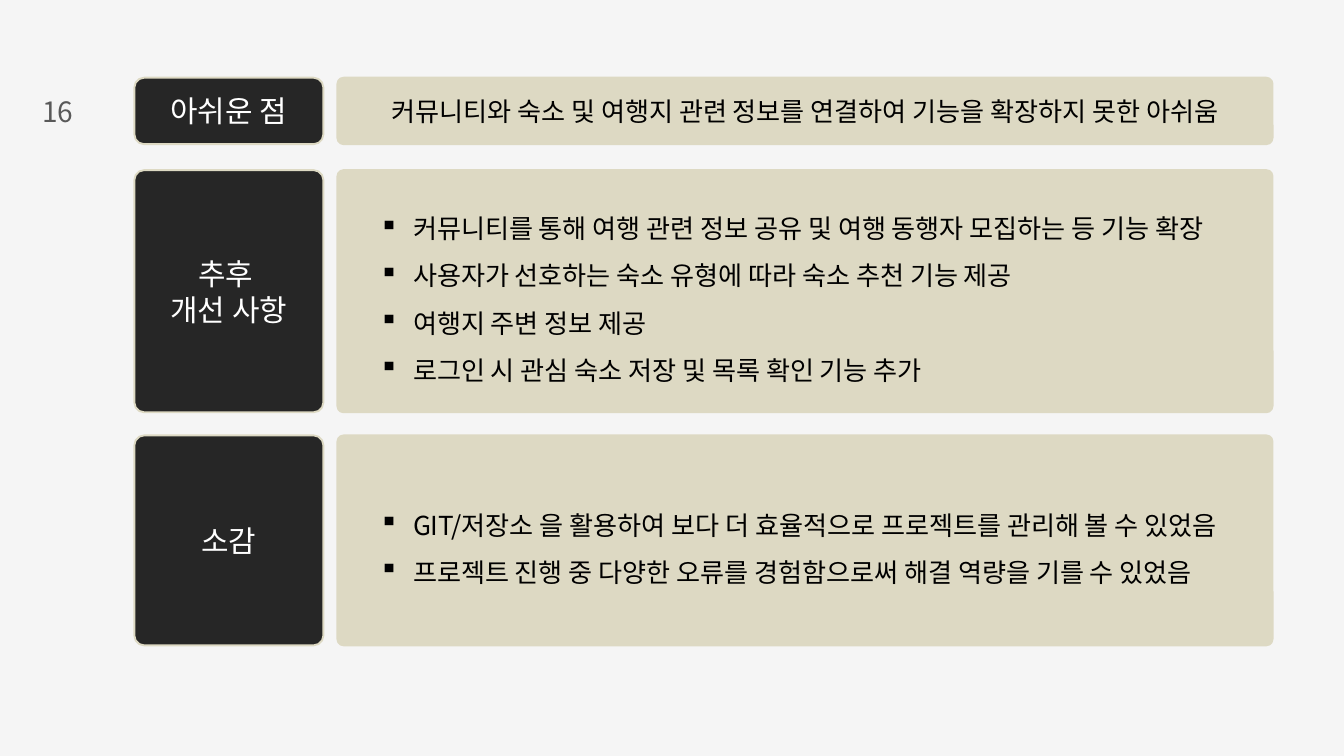
"""Build the closing slide: a regret, future improvements and reflections."""
from lxml import etree
from pptx import Presentation
from pptx import util as u
from pptx.dml.color import RGBColor
from pptx.enum import shapes, text
from pptx.oxml.ns import qn

PX = 9525
FONT = "Noto Sans CJK KR"
COLORS = {
    "background": "F5F5F5",
    "label": "262626",
    "panel": "DDD9C3",
    "label_text": "FFFFFF",
    "panel_text": "000000",
    "number": "595959",
}
LABEL = {"left": 192, "width": 270, "radius": 14}
PANEL = {"left": 482, "width": 1336, "radius": 9}
ROWS = [
    (111, 95, ["아쉬운 점"],
     ["커뮤니티와 숙소 및 여행지 관련 정보를 연결하여 기능을 확장하지 못한 아쉬움"]),
    (243, 346, ["추후 ", "개선 사항"],
     ["커뮤니티를 통해 여행 관련 정보 공유 및 여행 동행자 모집하는 등 기능 확장",
      "사용자가 선호하는 숙소 유형에 따라 숙소 추천 기능 제공",
      "여행지 주변 정보 제공",
      "로그인 시 관심 숙소 저장 및 목록 확인 기능 추가"]),
    (622, 300, ["소감"],
     ["GIT/저장소 을 활용하여 보다 더 효율적으로 프로젝트를 관리해 볼 수 있었음",
      "프로젝트 진행 중 다양한 오류를 경험함으로써 해결 역량을 기를 수 있었음"]),
]
CENTERED = {"alignment": text.PP_ALIGN.CENTER}
BULLETED = {"alignment": text.PP_ALIGN.LEFT, "level": 1, "line_spacing": 1.5}


def color(name):
    """Return the named colour."""
    return RGBColor.from_string(COLORS[name])


def px(*lengths):
    """Turn pixel lengths into EMU."""
    return [u.Emu(length * PX) for length in lengths]


def add_bullet(paragraph):
    """Give a paragraph a square bullet with a hanging indent."""
    properties = paragraph._p.get_or_add_pPr()
    margin, indent = px(96, -48)
    properties.set("marL", str(margin))
    properties.set("indent", str(indent))
    etree.SubElement(properties, qn("a:buChar"), char="▪")


def write(frame, lines, size, color_name, bullets=False):
    """Write one paragraph per line into a text frame."""
    frame.word_wrap = True
    for index, line in enumerate(lines):
        paragraph = frame.paragraphs[0] if index == 0 else frame.add_paragraph()
        if bullets:
            add_bullet(paragraph)
        for name, value in (BULLETED if bullets else CENTERED).items():
            setattr(paragraph, name, value)
        run = paragraph.add_run()
        run.text = line
        for name, value in {"name": FONT, "size": u.Pt(size)}.items():
            setattr(run.font, name, value)
        run.font.color.rgb = color(color_name)
        etree.SubElement(run.font._element, qn("a:ea"), typeface=FONT)


def add_card(slide, column, top, height, fill):
    """Add a rounded card in a column and return its text frame."""
    shape = slide.shapes.add_shape(
        shapes.MSO_SHAPE.ROUNDED_RECTANGLE,
        *px(column["left"], top, column["width"], height))
    shape.adjustments[0] = column["radius"] / min(column["width"], height)
    shape.shadow.inherit = False
    shape.fill.solid()
    shape.fill.fore_color.rgb = color(fill)
    shape.line.color.rgb = color("panel")
    shape.line.width = u.Pt(2)
    shape.text_frame.vertical_anchor = text.MSO_ANCHOR.MIDDLE
    return shape.text_frame


def add_row(slide, top, height, title, lines):
    """Add a dark label and the panel beside it."""
    label = add_card(slide, LABEL, top, height, "label")
    write(label, title, 32, "label_text")
    panel = add_card(slide, PANEL, top, height, "panel")
    write(panel, lines, 28, "panel_text", bullets=len(lines) > 1)


def add_page_number(slide, number):
    """Add the page number at the left edge."""
    box = slide.shapes.add_textbox(*px(32, 130, 101, 72))
    write(box.text_frame, [number], 30, "number")


def main():
    """Build and save the presentation."""
    presentation = Presentation()
    presentation.slide_width, presentation.slide_height = px(1920, 1080)
    slide = presentation.slides.add_slide(presentation.slide_layouts[6])
    slide.background.fill.solid()
    slide.background.fill.fore_color.rgb = color("background")
    add_page_number(slide, "16")
    for row in ROWS:
        add_row(slide, *row)
    presentation.save("out.pptx")


if __name__ == "__main__":
    main()
